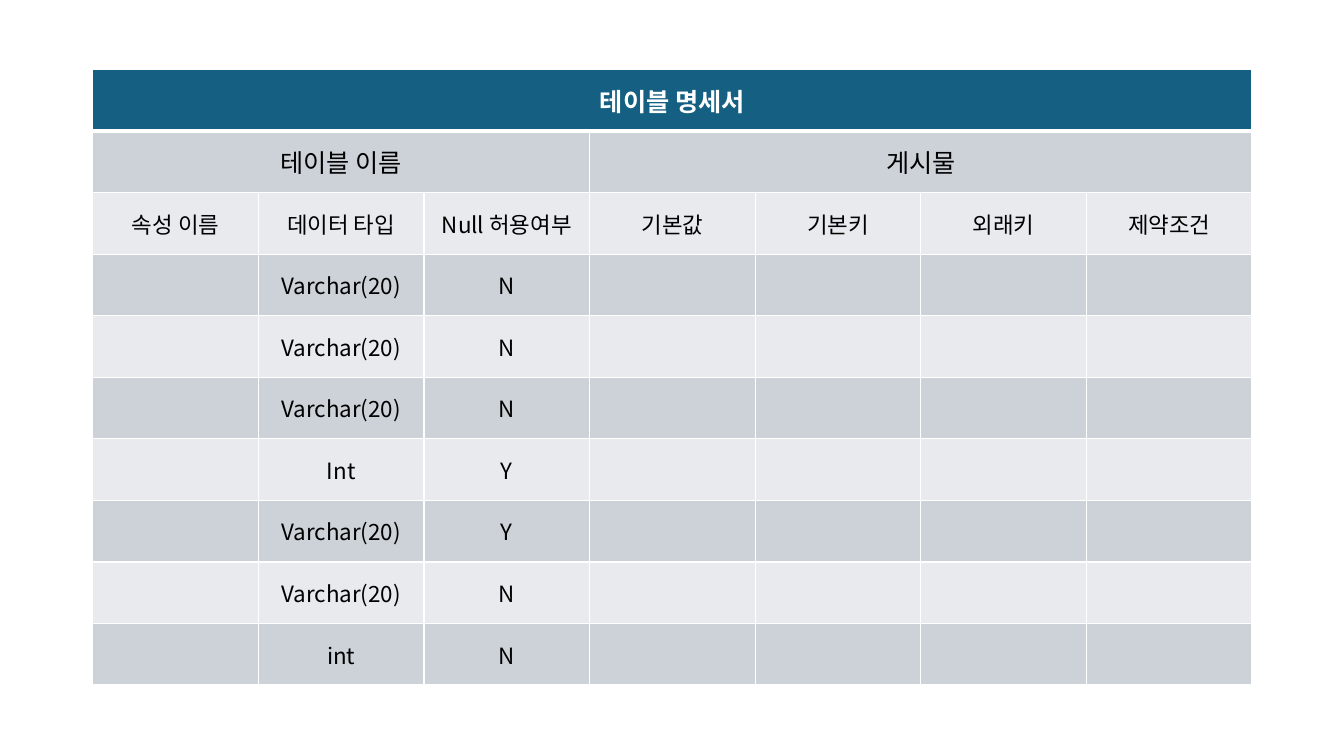
from lxml.etree import SubElement
from pptx import Presentation
from pptx.dml.color import RGBColor
from pptx.enum.text import MSO_ANCHOR, PP_ALIGN
from pptx.oxml.ns import qn
from pptx.util import Inches, Pt

COLORS = {
    "white": "FFFFFF",
    "black": "000000",
    "title": "156082",
    "dark_band": "CCD2D8",
    "light_band": "E8EAED",
}
FONT = "Noto Sans CJK KR"
HEADINGS = ["속성 이름", "데이터 타입", "Null 허용여부", "기본값", "기본키", "외래키", "제약조건"]
ATTRIBUTES = [
    ("Varchar(20)", "N"),
    ("Varchar(20)", "N"),
    ("Varchar(20)", "N"),
    ("Int", "Y"),
    ("Varchar(20)", "Y"),
    ("Varchar(20)", "N"),
    ("int", "N"),
]
ROWS = [
    ["테이블 명세서"],
    ["테이블 이름", "", "", "게시물"],
    HEADINGS,
    *(["", data_type, nullable] for data_type, nullable in ATTRIBUTES),
]
MERGES = [(0, 0, 6), (1, 0, 2), (1, 3, 6)]


def set_borders(cell, is_title):
    properties = cell._tc.get_or_add_tcPr()
    for side in ("L", "R", "T", "B"):
        width = 3 if is_title and side == "B" else 1
        line = SubElement(properties, qn(f"a:ln{side}"), w=str(Pt(width)))
        fill = SubElement(line, qn("a:solidFill"))
        SubElement(fill, qn("a:srgbClr"), val=COLORS["white"])


def set_text(cell, text, size, color, bold):
    cell.text = text
    cell.vertical_anchor = MSO_ANCHOR.MIDDLE
    paragraph = cell.text_frame.paragraphs[0]
    paragraph.alignment = PP_ALIGN.CENTER
    font = paragraph.font
    font.size = Pt(size)
    font.bold = bold
    font.color.rgb = RGBColor.from_string(COLORS[color])
    font.name = FONT
    SubElement(paragraph._p.pPr.find(qn("a:defRPr")), qn("a:ea"), typeface=FONT)


def style_cell(cell, row, text):
    is_title = row == 0
    band = "title" if is_title else "dark_band" if row % 2 else "light_band"
    set_borders(cell, is_title)
    cell.fill.solid()
    cell.fill.fore_color.rgb = RGBColor.from_string(COLORS[band])
    if text:
        size = 18 if row < 2 else 16
        set_text(cell, text, size, "white" if is_title else "black", is_title)


def add_specification_table(slide):
    column_count = len(HEADINGS)
    frame = slide.shapes.add_table(
        len(ROWS), column_count, Inches(0.92), Inches(0.69), Inches(11.5), Inches(6.11)
    )
    table = frame.table
    for row, first, last in MERGES:
        table.cell(row, first).merge(table.cell(row, last))
    for row, texts in enumerate(ROWS):
        for column in range(column_count):
            text = texts[column] if column < len(texts) else ""
            style_cell(table.cell(row, column), row, text)


def main():
    presentation = Presentation()
    presentation.slide_width = Inches(13.33)
    presentation.slide_height = Inches(7.5)
    slide = presentation.slides.add_slide(presentation.slide_layouts[6])
    add_specification_table(slide)
    presentation.save("out.pptx")


if __name__ == "__main__":
    main()
